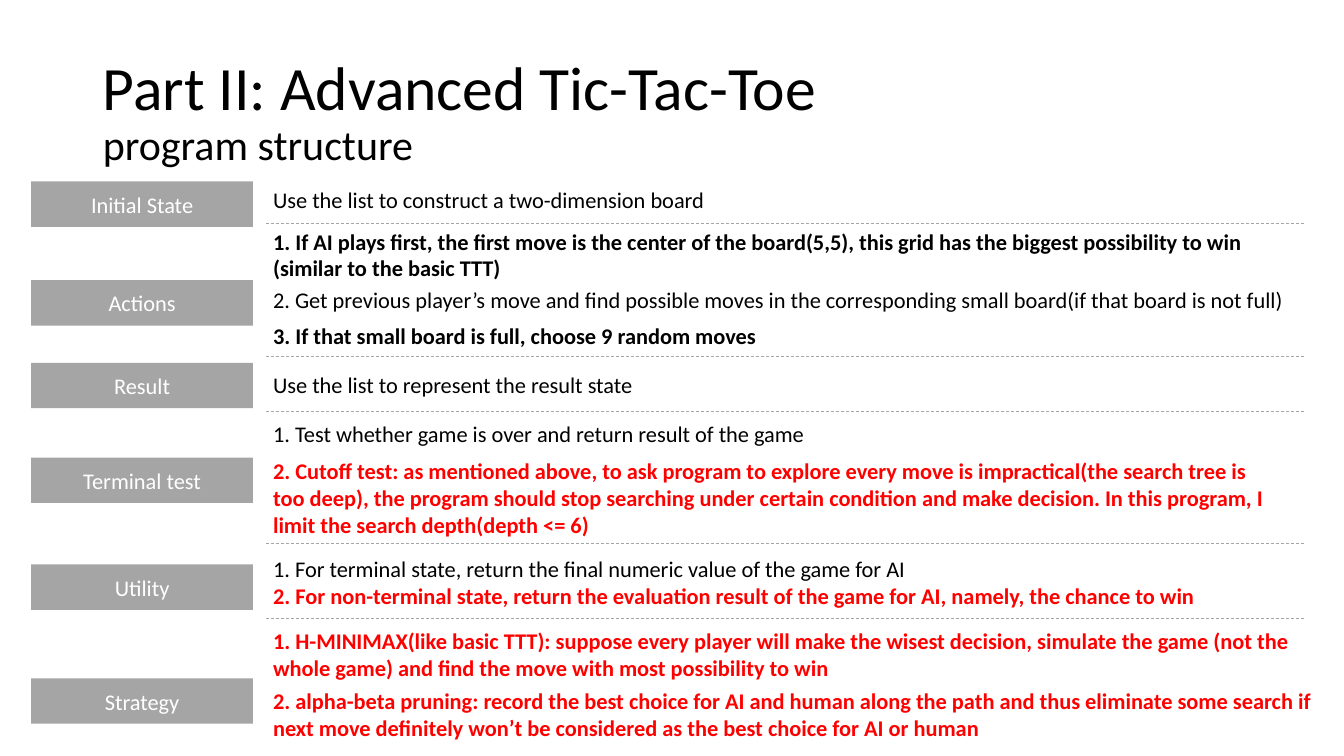
from lxml import etree
from pptx import Presentation
from pptx.dml.color import RGBColor
from pptx.enum.dml import MSO_LINE
from pptx.enum.shapes import MSO_CONNECTOR, MSO_SHAPE
from pptx.enum.text import MSO_ANCHOR, MSO_AUTO_SIZE, PP_ALIGN
from pptx.oxml.ns import qn
from pptx.util import Inches, Pt

COLORS = {"text": "000000", "accent": "FF0000", "gray": "A5A5A5", "label": "FFFFFF"}


def format_run(run, size, color, bold=False):
    run.font.name = "Calibri"
    run.font.size = Pt(size)
    run.font.bold = bold
    run.font.color.rgb = RGBColor.from_string(COLORS[color])


presentation = Presentation()
presentation.slide_width = Inches(13.33)
presentation.slide_height = Inches(7.5)
slide = presentation.slides.add_slide(presentation.slide_layouts[5])

title = slide.shapes.title
title.left, title.top = Inches(0.92), Inches(0.4)
title.width, title.height = Inches(11.5), Inches(1.45)
title.text_frame.text = "Part II: Advanced Tic-Tac-Toe\vprogram structure"
title.text_frame.auto_size = MSO_AUTO_SIZE.NONE
title.text_frame.vertical_anchor = MSO_ANCHOR.MIDDLE
heading = title.text_frame.paragraphs[0]
heading.alignment = PP_ALIGN.LEFT
heading.line_spacing = 0.9
for run, size in zip(heading.runs, (44, 30)):
    format_run(run, size, "text")

labels = [
    ("Initial State", 1.8),
    ("Actions", 2.78),
    ("Result", 3.6),
    ("Terminal test", 4.54),
    ("Utility", 5.6),
    ("Strategy", 6.73),
]
for name, top in labels:
    label = slide.shapes.add_shape(
        MSO_SHAPE.RECTANGLE, Inches(0.31), Inches(top), Inches(2.2), Inches(0.45))
    label.shadow.inherit = False
    label.fill.solid()
    label.fill.fore_color.rgb = RGBColor.from_string(COLORS["gray"])
    label.line.fill.background()
    label.text_frame.text = name
    label.text_frame.vertical_anchor = MSO_ANCHOR.MIDDLE
    paragraph = label.text_frame.paragraphs[0]
    paragraph.alignment = PP_ALIGN.CENTER
    format_run(paragraph.runs[0], 16, "label")

for top in (2.22, 3.54, 4.08, 5.39, 6.13):
    divider = slide.shapes.add_connector(
        MSO_CONNECTOR.STRAIGHT, Inches(2.64), Inches(top), Inches(12.94), Inches(top))
    divider.line.color.rgb = RGBColor.from_string(COLORS["gray"])
    divider.line.width = Pt(0.5)
    divider.line.dash_style = MSO_LINE.DASH
    etree.SubElement(divider._element.spPr, qn("a:effectLst"))

descriptions = [
    (1.8, 8.45, 0.37, [
        ("Use the list to construct a two-dimension board", "text", False)]),
    (2.21, 10.42, 0.64, [
        ("1. If AI plays first, the first move is the center of the board(5,5), this grid has "
         "the biggest possibility to win (similar to the basic TTT)", "text", True)]),
    (2.79, 10.52, 0.37, [
        ("2. Get previous player’s move and find possible moves in the corresponding small "
         "board(if that board is not full)", "text", False)]),
    (3.15, 9.59, 0.37, [
        ("3. If that small board is full, choose 9 random moves", "text", True)]),
    (3.63, 6.98, 0.37, [
        ("Use the list to represent the result state", "text", False)]),
    (4.12, 9.59, 0.37, [
        ("1. Test whether game is over and return result of the game", "text", False)]),
    (4.49, 10.18, 0.91, [
        ("2. Cutoff test: as mentioned above, to ask program to explore every move is "
         "impractical(the search tree is too deep), the program should stop searching under "
         "certain condition and make decision. In this program, I limit the search "
         "depth(depth <= 6)", "accent", True)]),
    (5.46, 10.61, 0.64, [
        ("1. For terminal state, return the final numeric value of the game for AI",
         "text", False),
        ("2. For non-terminal state, return the evaluation result of the game for AI, namely, "
         "the chance to win", "accent", True)]),
    (6.17, 10.58, 0.64, [
        ("1. H-MINIMAX(like basic TTT): suppose every player will make the wisest decision, "
         "simulate the game (not the whole game) and find the move with most possibility to "
         "win", "accent", True)]),
    (6.77, 10.58, 0.64, [
        ("2. alpha-beta pruning: record the best choice for AI and human along the path and "
         "thus eliminate some search if next move definitely won’t be considered as the best "
         "choice for AI or human", "accent", True)]),
]
for top, width, height, lines in descriptions:
    description = slide.shapes.add_textbox(
        Inches(2.61), Inches(top), Inches(width), Inches(height))
    text_frame = description.text_frame
    text_frame.word_wrap = True
    text_frame.auto_size = MSO_AUTO_SIZE.SHAPE_TO_FIT_TEXT
    text_frame.text = "\n".join(text for text, color, bold in lines)
    for paragraph, (text, color, bold) in zip(text_frame.paragraphs, lines):
        format_run(paragraph.runs[0], 16, color, bold)

presentation.save("out.pptx")
